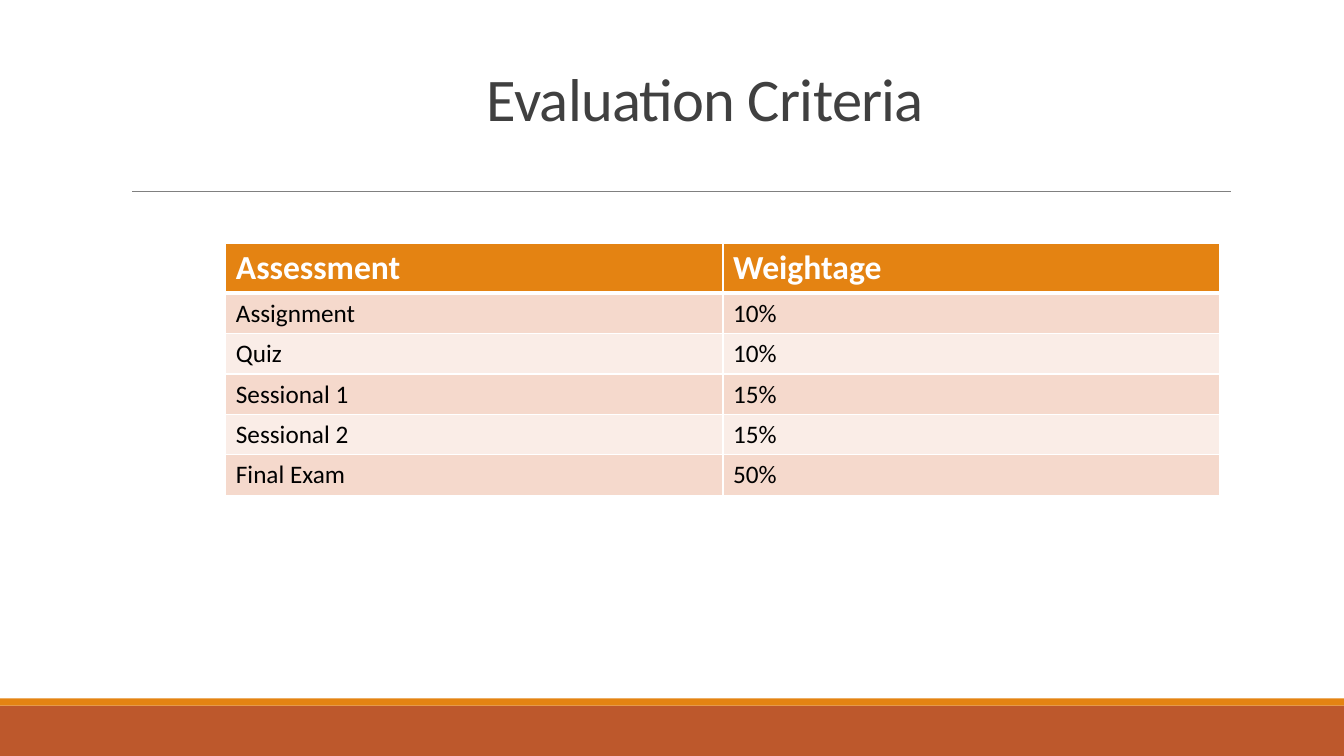
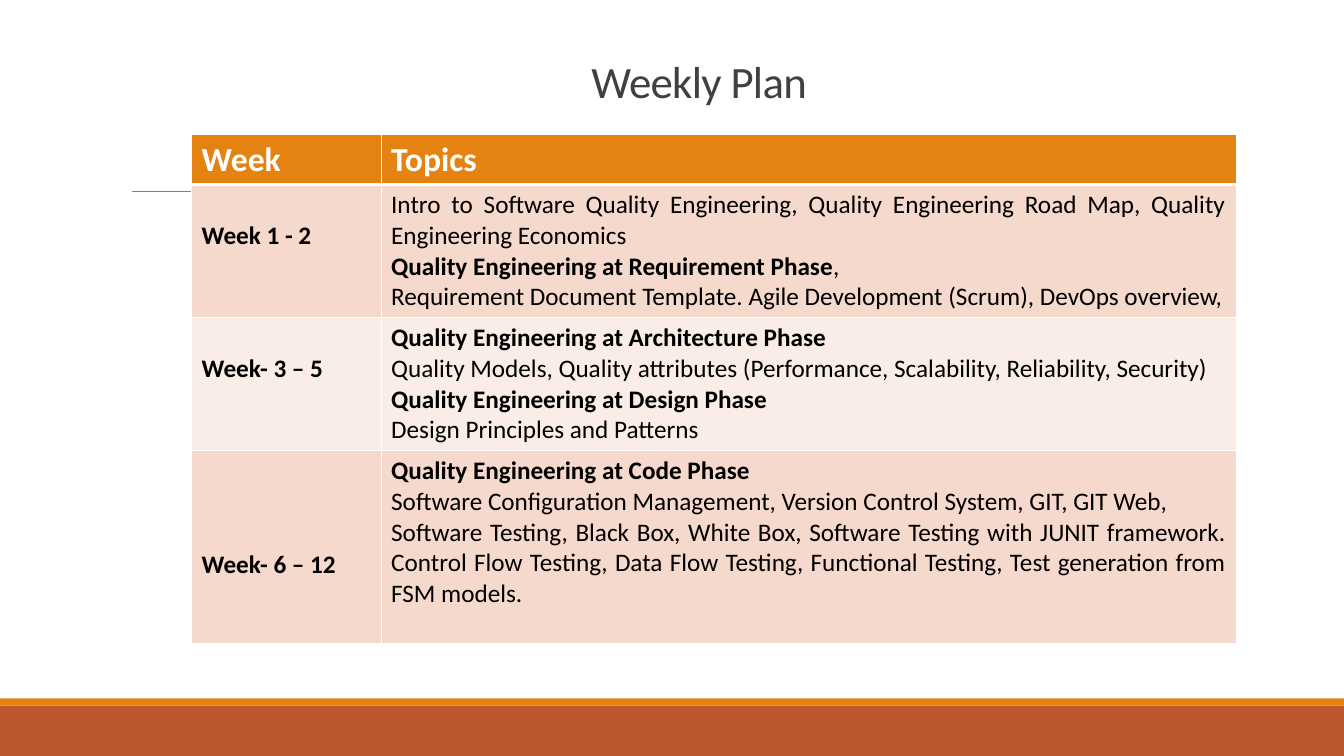
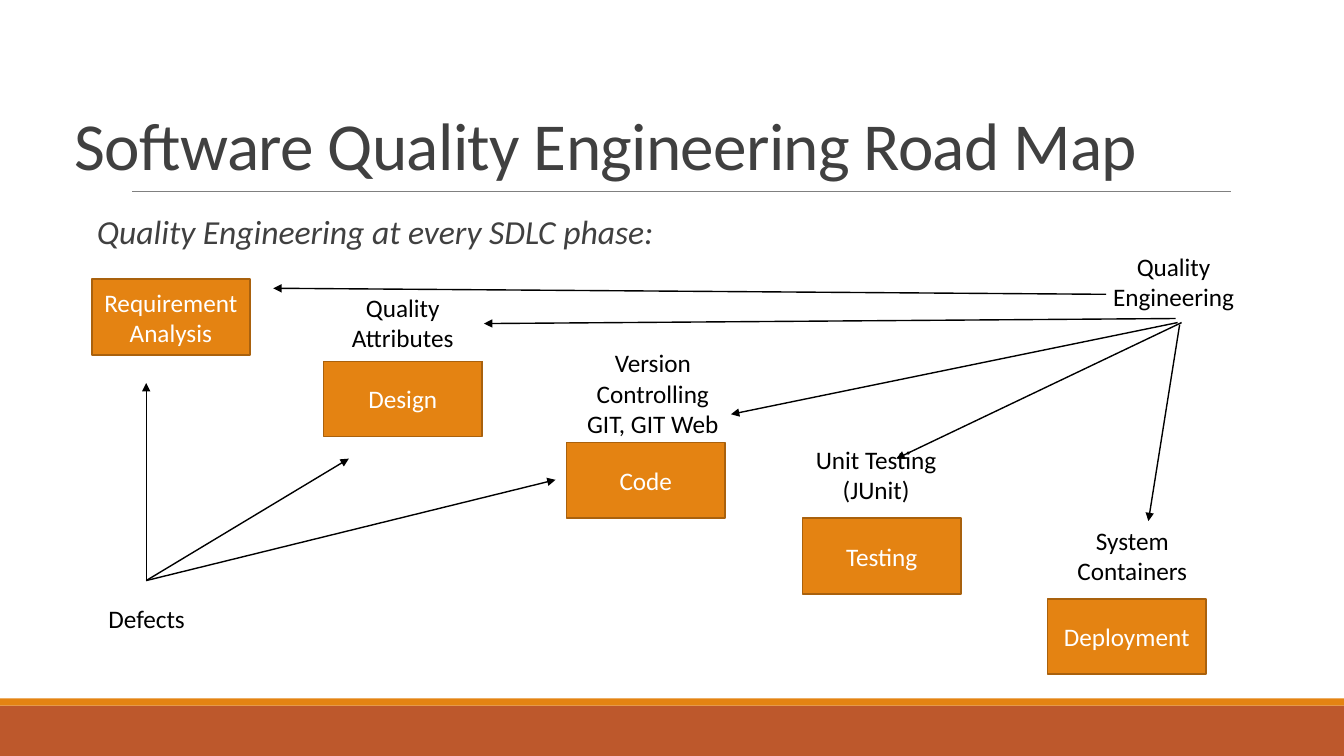
from pptx import Presentation
from pptx.dml.color import RGBColor
from pptx.enum import shapes, text
from pptx.oxml import ns
from pptx.util import Emu, Pt
from lxml import etree

SCALE = 9144
WIDTH, HEIGHT = 1333, 750
FONT = "Calibri"

ORANGE = RGBColor(0xE4, 0x83, 0x12)
ORANGE_EDGE = RGBColor(0xA9, 0x61, 0x0D)
RUST = RGBColor(0xBD, 0x58, 0x2C)
BAND_DARK = RGBColor(0xF5, 0xD9, 0xCC)
BAND_LIGHT = RGBColor(0xFA, 0xED, 0xE7)
GRAY = RGBColor(0x80, 0x80, 0x80)
CHARCOAL = RGBColor(0x40, 0x40, 0x40)
BLACK = RGBColor(0, 0, 0)
WHITE = RGBColor(0xFF, 0xFF, 0xFF)

LEFT, CENTER, JUSTIFY = text.PP_ALIGN.LEFT, text.PP_ALIGN.CENTER, text.PP_ALIGN.JUSTIFY
TOP, MIDDLE, BOTTOM = text.MSO_ANCHOR.TOP, text.MSO_ANCHOR.MIDDLE, text.MSO_ANCHOR.BOTTOM

LINE_HEIGHT = 31
PHASE_BOX = (157, 75)
LABEL_HEIGHT = 76

CRITERIA = [
    ("Assessment", "Weightage"),
    ("Assignment", "10%"),
    ("Quiz", "10%"),
    ("Sessional 1", "15%"),
    ("Sessional 2", "15%"),
    ("Final Exam", "50%"),
]

WEEKS = [
    ("Week", "Topics"),
    ("Week 1 - 2", [
        "Intro to Software Quality Engineering, Quality Engineering Road Map, "
        "Quality Engineering Economics",
        ("Quality Engineering at Requirement Phase", ","),
        "Requirement Document Template. Agile Development (Scrum), DevOps overview,",
    ]),
    ("Week- 3 – 5", [
        ("Quality Engineering at Architecture Phase", ""),
        "Quality Models, Quality attributes (Performance, Scalability, Reliability, Security)",
        ("Quality Engineering at Design Phase", ""),
        "Design Principles and Patterns",
    ]),
    ("Week- 6 – 12", [
        ("Quality Engineering at Code Phase", ""),
        "Software Configuration Management, Version Control System, GIT, GIT Web,",
        "Software Testing, Black Box, White Box, Software Testing with JUNIT framework. "
        "Control Flow Testing, Data Flow Testing, Functional Testing, "
        "Test generation from FSM models.",
    ]),
]

PHASES = [
    ("Requirement Analysis", 91, 277),
    ("Design", 321, 358),
    ("Code", 562, 439),
    ("Testing", 796, 514),
    ("Deployment", 1039, 594),
]

LABELS = [
    ("System Containers", 1056, 513, 134),
    (["Unit Testing", "(JUnit)"], 786, 433, 166),
    (["Version Controlling", "GIT, GIT Web"], 566, 352, 163),
    ("Quality Attributes", 318, 282, 163),
    ("Defects", 64, 576, 163),
    ("Quality Engineering", 1072, 241, 184),
]

DEFECT_START = (145, 576)
DEFECT_ENDS = [(346, 455), (145, 380), (551, 476)]
QUALITY_ARROWS = [
    ((1170, 322), (1139, 517)),
    ((1172, 320), (889, 455)),
    ((1168, 320), (725, 411)),
    ((1166, 316), (480, 321)),
    ((1097, 292), (271, 286)),
]


def px(value):
    return Emu(value * SCALE)


def write(frame, content, size=18, color=BLACK, bold=False, italic=False,
          align=LEFT, line_spacing=None, tracking=None):
    paragraphs = content if isinstance(content, list) else [content]
    for index, item in enumerate(paragraphs):
        paragraph = frame.paragraphs[0] if index == 0 else frame.add_paragraph()
        paragraph.alignment = align
        if line_spacing:
            paragraph.line_spacing = line_spacing
        parts = [(item, bold)] if isinstance(item, str) else [(item[0], True), (item[1], False)]
        for words, heavy in parts:
            if not words:
                continue
            run = paragraph.add_run()
            run.text = words
            run.font.name = FONT
            run.font.size = Pt(size)
            run.font.color.rgb = color
            run.font.bold = heavy
            run.font.italic = italic
            if tracking:
                run.font._element.set("spc", str(tracking))


def add_box(slide, left, top, width, height, fill, edge=None):
    shape = slide.shapes.add_shape(
        shapes.MSO_SHAPE.RECTANGLE, px(left), px(top), px(width), px(height))
    shape.shadow.inherit = False
    shape.fill.solid()
    shape.fill.fore_color.rgb = fill
    if edge:
        shape.line.color.rgb = edge
        shape.line.width = Pt(1.25)
    else:
        shape.line.fill.background()
    shape.text_frame.word_wrap = True
    shape.text_frame.vertical_anchor = MIDDLE
    return shape


def add_line(slide, start, end, color=BLACK, weight=1, arrow=True):
    connector = slide.shapes.add_connector(
        shapes.MSO_CONNECTOR.STRAIGHT, px(start[0]), px(start[1]), px(end[0]), px(end[1]))
    connector.line.color.rgb = color
    connector.line.width = Pt(weight)
    if arrow:
        etree.SubElement(connector.line._get_or_add_ln(), ns.qn("a:tailEnd"), type="triangle")
    etree.SubElement(connector._element.spPr, ns.qn("a:effectLst"))


def add_text(slide, content, left, top, width, height, anchor=TOP, inset=10, **style):
    frame = slide.shapes.add_textbox(px(left), px(top), px(width), px(height)).text_frame
    frame.word_wrap = True
    frame.vertical_anchor = anchor
    frame.margin_left = frame.margin_right = px(inset)
    write(frame, content, **style)


def add_slide(presentation, title, left, top, width, height, size, align=CENTER):
    slide = presentation.slides.add_slide(presentation.slide_layouts[6])
    add_box(slide, 0, 700, WIDTH, 50, RUST)
    add_box(slide, 0, 693, WIDTH, 7, ORANGE)
    add_line(slide, (131, 190), (1221, 190), GRAY, 0.5, arrow=False)
    add_text(slide, title, left, top, width, height, BOTTOM, size=size, color=CHARCOAL,
             align=align, line_spacing=0.85, tracking=-50)
    return slide


def set_borders(cell, top=1, bottom=1):
    properties = cell._tc.get_or_add_tcPr()
    weights = {"lnL": 1, "lnR": 1, "lnT": top, "lnB": bottom}
    for index, (side, weight) in enumerate(weights.items()):
        line = etree.Element(ns.qn(f"a:{side}"), w=str(Pt(weight)))
        fill = etree.SubElement(line, ns.qn("a:solidFill"))
        etree.SubElement(fill, ns.qn("a:srgbClr"), val=str(WHITE))
        properties.insert(index, line)


def add_table(slide, rows, left, top, widths, heights):
    table = slide.shapes.add_table(
        len(rows), len(widths), px(left), px(top), px(sum(widths)), px(sum(heights))).table
    for column, width in zip(table.columns, widths):
        column.width = px(width)
    for index, (row, height) in enumerate(zip(rows, heights)):
        table.rows[index].height = px(height)
        for column, content in enumerate(row):
            cell = table.cell(index, column)
            cell.fill.solid()
            if index == 0:
                cell.fill.fore_color.rgb = ORANGE
                write(cell.text_frame, content, size=24, color=WHITE, bold=True)
            else:
                cell.fill.fore_color.rgb = BAND_DARK if index % 2 else BAND_LIGHT
                topics = isinstance(content, list)
                write(cell.text_frame, content, align=JUSTIFY if topics else LEFT,
                      bold=column == 0 and isinstance(row[1], list))
            set_borders(cell, top=3 if index == 1 else 1, bottom=3 if index == 0 else 1)
    return table


def build_criteria(presentation):
    slide = add_slide(presentation, "Evaluation Criteria", 190, 60, 1019, 78, 43.2)
    add_table(slide, CRITERIA, 224, 241, [493, 493], [50] + [40] * 5)


def build_weekly_plan(presentation):
    slide = add_slide(presentation, "Weekly Plan", 190, 29, 1007, 83, 32)
    table = add_table(slide, WEEKS, 190, 133, [188, 848], [50, 132, 132, 192])
    for row, lines_down in enumerate([1, 1, 3], start=1):
        table.cell(row, 0).margin_top = px(5 + lines_down * LINE_HEIGHT)


def build_road_map(presentation):
    slide = add_slide(presentation, "Software Quality Engineering Road Map",
                      64, 77, 1206, 111, 48, align=LEFT)
    add_text(slide, "Quality Engineering at every SDLC phase:", 96, 209, 1195, 50, inset=0,
             size=24, color=CHARCOAL, italic=True, line_spacing=0.9)
    for name, left, top in PHASES:
        box = add_box(slide, left, top, *PHASE_BOX, ORANGE, ORANGE_EDGE)
        write(box.text_frame, name, color=WHITE, align=CENTER)
    for label, left, top, width in LABELS:
        box = add_box(slide, left, top, width, LABEL_HEIGHT, WHITE)
        write(box.text_frame, label, align=CENTER)
    for end in DEFECT_ENDS:
        add_line(slide, DEFECT_START, end)
    for start, end in QUALITY_ARROWS:
        add_line(slide, start, end)


def main():
    presentation = Presentation()
    presentation.slide_width = px(WIDTH)
    presentation.slide_height = px(HEIGHT)
    build_criteria(presentation)
    build_weekly_plan(presentation)
    build_road_map(presentation)
    presentation.save("out.pptx")


if __name__ == "__main__":
    main()
